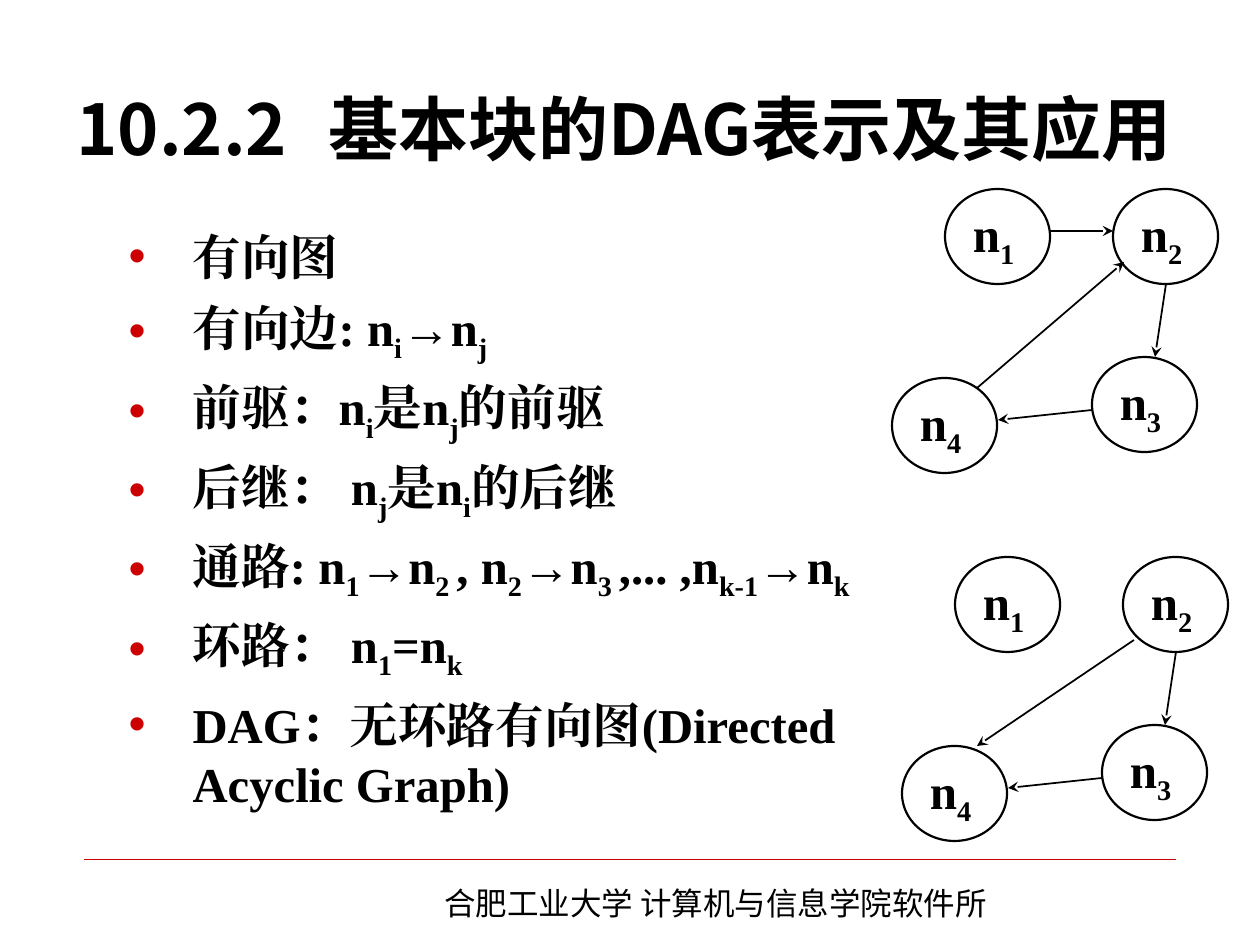
from lxml.etree import SubElement
from pptx import Presentation
from pptx.dml.color import RGBColor
from pptx.enum.shapes import MSO_CONNECTOR as Connector, MSO_SHAPE as Shape
from pptx.enum.text import MSO_ANCHOR as Anchor, MSO_AUTO_SIZE as AutoSize, PP_ALIGN as Align
from pptx.oxml.ns import qn
from pptx.util import Pt

PX = 914400 / 126
BLACK = RGBColor(0x00, 0x00, 0x00)
RED = RGBColor(0xCC, 0x00, 0x00)
SANS = "Noto Sans CJK SC"
SERIF = "Times New Roman"
ARROW_FONT = "Arial"


def emu(*lengths):
    return [round(length * PX) for length in lengths]


class Deck:
    def __init__(self, width, height):
        self.presentation = Presentation()
        self.presentation.slide_width, self.presentation.slide_height = emu(width, height)
        self.slide = self.presentation.slides.add_slide(self.presentation.slide_layouts[1])

    def place(self, shape, box):
        shape.left, shape.top, shape.width, shape.height = emu(*box)
        shape.text_frame.auto_size = AutoSize.NONE
        shape.text_frame.word_wrap = True

    def style(self, paragraph, size, face, bold=False):
        paragraph.alignment = Align.LEFT
        font = paragraph.font
        font.size, font.bold, font.name = Pt(size), bold, face
        font.color.rgb = BLACK
        defaults = paragraph._p.get_or_add_pPr().find(qn("a:defRPr"))
        SubElement(defaults, qn("a:ea"), typeface=face)

    def add_runs(self, paragraph, text):
        for index, part in enumerate(text.split("|")):
            if index % 2:
                run = paragraph.add_run()
                run.text = part
                run._r.get_or_add_rPr().set("baseline", "-25000")
                continue
            before, arrow, after = part.partition("→")
            for piece in filter(None, (before, arrow, after)):
                run = paragraph.add_run()
                run.text = piece
                if piece == "→":
                    run.font.name = ARROW_FONT

    def title(self, box, text, tab):
        heading = self.slide.shapes.title
        self.place(heading, box)
        frame = heading.text_frame
        frame.vertical_anchor = Anchor.BOTTOM
        frame.margin_bottom = 0
        frame.text = text
        paragraph = frame.paragraphs[0]
        paragraph.line_spacing = Pt(47)
        tabs = SubElement(paragraph._p.get_or_add_pPr(), qn("a:tabLst"))
        SubElement(tabs, qn("a:tab"), pos=str(emu(tab)[0]), algn="l")
        self.style(paragraph, 40, SANS, bold=True)

    def bullets(self, box, items, indent):
        body = self.slide.placeholders[1]
        self.place(body, box)
        frame = body.text_frame
        for index, item in enumerate(items):
            paragraph = frame.add_paragraph() if index else frame.paragraphs[0]
            paragraph.space_before = Pt(7.5 if index else 0)
            paragraph.line_spacing = Pt(37.8 if "|" in item else 33.6)
            properties = paragraph._p.get_or_add_pPr()
            properties.set("marL", str(emu(indent)[0]))
            properties.set("indent", str(-emu(indent)[0]))
            colour = SubElement(properties, qn("a:buClr"))
            SubElement(colour, qn("a:srgbClr"), val=str(RED))
            SubElement(properties, qn("a:buChar"), char="•")
            self.style(paragraph, 27.8, SERIF, bold=True)
            self.add_runs(paragraph, item)

    def label(self, box, text):
        caption = self.slide.shapes.add_textbox(*emu(*box))
        self.place(caption, box)
        caption.text_frame.text = text
        self.style(caption.text_frame.paragraphs[0], 18, SANS)

    def line(self, shapes, start, end, colour, weight, arrow=False):
        connector = shapes.add_connector(Connector.STRAIGHT, *emu(*start, *end))
        connector.line.color.rgb = colour
        connector.line.width = Pt(weight)
        properties = connector._element.spPr
        if arrow:
            SubElement(properties.find(qn("a:ln")), qn("a:tailEnd"), type="stealth")
        SubElement(properties, qn("a:effectLst"))

    def node(self, shapes, x, y, number):
        circle = shapes.add_shape(Shape.OVAL, *emu(x, y, 105, 95))
        circle.shadow.inherit = False
        circle.fill.background()
        circle.line.color.rgb = BLACK
        circle.line.width = Pt(1.25)
        frame = circle.text_frame
        frame.word_wrap = False
        frame.vertical_anchor = Anchor.MIDDLE
        self.style(frame.paragraphs[0], 28, SERIF, bold=True)
        self.add_runs(frame.paragraphs[0], f"n|{number}|")

    def graph(self, nodes, edges, dx=0, dy=0):
        shapes = self.slide.shapes.add_group_shape().shapes
        for number, (x, y) in enumerate(nodes, 1):
            self.node(shapes, x + dx, y + dy, number)
        for x1, y1, x2, y2 in edges:
            self.line(shapes, (x1 + dx, y1 + dy), (x2 + dx, y2 + dy), BLACK, 1, arrow=True)


def main():
    deck = Deck(1260, 945)
    deck.line(deck.slide.shapes, (84, 859), (1176, 859), RED, 0.25)
    deck.label((432, 878, 595, 50), "合肥工业大学 计算机与信息学院软件所")
    deck.title((64, 76, 1134, 94), "10.2.2\t基本块的DAG表示及其应用", 252)
    deck.bullets((116, 220, 840, 609), [
        "有向图",
        "有向边: n|i|→n|j|",
        "前驱：n|i|是n|j|的前驱",
        "后继： n|j|是n|i|的后继",
        "通路: n|1|→n|2 |, n|2|→n|3 |,... ,n|k-1|→n|k|",
        "环路： n|1|=n|k|",
        "DAG：无环路有向图(Directed Acyclic Graph)",
    ], 64)

    nodes = [(945, 189), (1113, 189), (1092, 357), (892, 378)]
    shared_edges = [(1166, 284, 1155, 357), (1092, 410, 998, 420)]
    cycle_edges = [(1050, 231, 1113, 231), (977, 388, 1124, 262)]
    acyclic_edges = [(1124, 272, 967, 378)]
    deck.graph(nodes, shared_edges + cycle_edges)
    deck.graph(nodes, shared_edges + acyclic_edges, dx=10, dy=368)
    deck.presentation.save("out.pptx")


if __name__ == "__main__":
    main()
